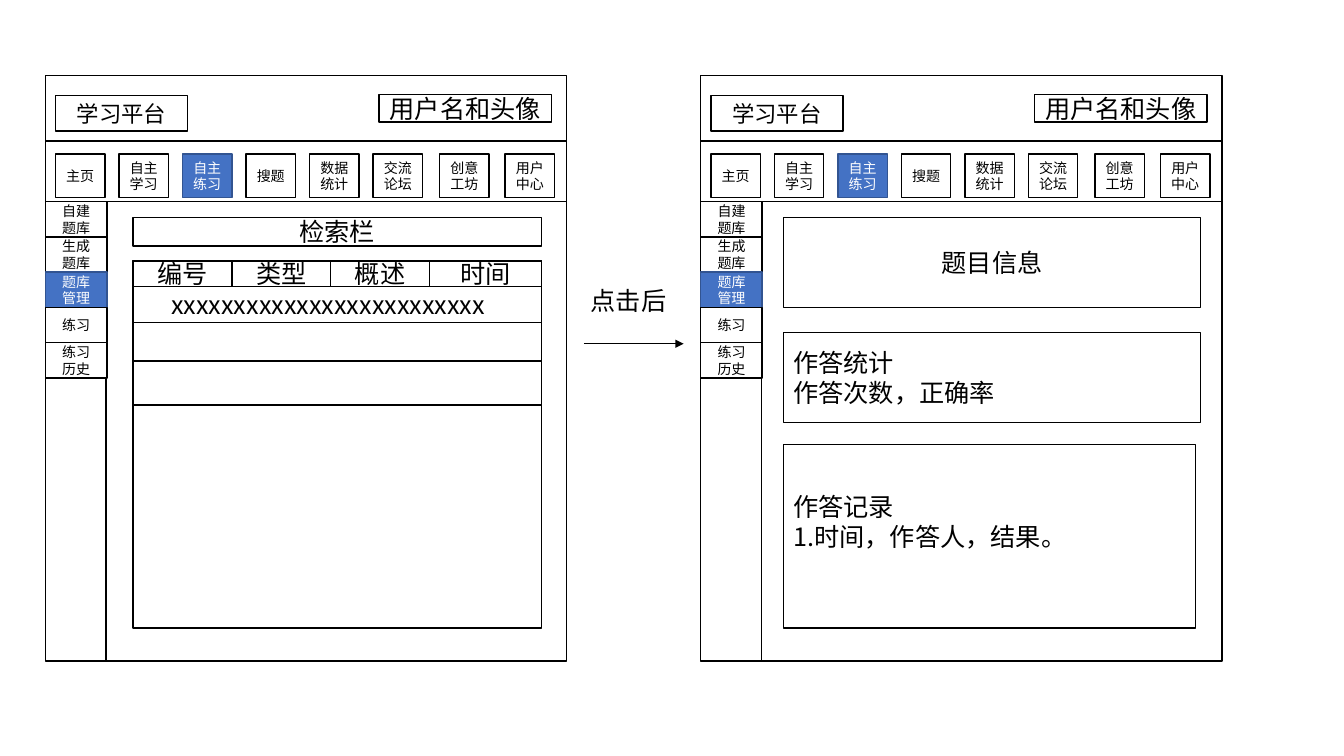
from lxml import etree
from pptx import Presentation
from pptx import util as u
from pptx.dml.color import RGBColor
from pptx.enum import shapes, text
from pptx.oxml.ns import qn

BLACK = RGBColor(0x00, 0x00, 0x00)
WHITE = RGBColor(0xFF, 0xFF, 0xFF)
BLUE = RGBColor(0x44, 0x72, 0xC4)
NAVY = RGBColor(0x32, 0x54, 0x91)
FONT = "Noto Sans CJK SC"

PLAIN = {"fill": WHITE, "line": BLACK, "ink": BLACK}
ACTIVE = {"fill": BLUE, "line": NAVY, "ink": WHITE}
MENU = ["主页", "自主学习", "自主练习", "搜题", "数据统计", "交流论坛", "创意工坊", "用户中心"]
MENU_X = [0.1 + 0.63 * i for i in range(6)] + [3.91, 4.56]
SIDE = ["自建题库", "生成题库", "题库管理", "练习", "练习历史"]
HEADS = ["编号", "类型", "概述", "时间"]


class Sketch:
    def __init__(self, slide):
        self.slide = slide
        self.pen = slide.shapes

    def group(self):
        self.pen = self.slide.shapes.add_group_shape().shapes

    def ungroup(self):
        self.pen = self.slide.shapes

    def letter(self, frame, lines, size, ink, align):
        for i, line in enumerate(lines):
            para = frame.paragraphs[0] if i == 0 else frame.add_paragraph()
            para.alignment = align
            run = para.add_run()
            run.text = line
            for key, value in {"name": FONT, "size": u.Pt(size)}.items():
                setattr(run.font, key, value)
            run.font.color.rgb = ink
            east = etree.SubElement(run.font._element, qn("a:ea"))
            east.set("typeface", FONT)

    def box(self, x, y, w, h, lines=(), size=18, look=PLAIN,
            align=text.PP_ALIGN.CENTER, **form):
        shape = self.pen.add_shape(shapes.MSO_SHAPE.RECTANGLE, *map(u.Inches, (x, y, w, h)))
        shape.shadow.inherit = False
        shape.fill.solid()
        shape.fill.fore_color.rgb = look["fill"]
        shape.line.color.rgb = look["line"]
        shape.line.width = u.Pt(1)
        form = {"word_wrap": True, "vertical_anchor": text.MSO_ANCHOR.MIDDLE, **form}
        for key, value in form.items():
            setattr(shape.text_frame, key, value)
        self.letter(shape.text_frame, lines, size, look["ink"], align)

    def label(self, x, y, w, h, line):
        frame = self.pen.add_textbox(*map(u.Inches, (x, y, w, h))).text_frame
        form = {"word_wrap": True, "auto_size": text.MSO_AUTO_SIZE.SHAPE_TO_FIT_TEXT}
        for key, value in form.items():
            setattr(frame, key, value)
        self.letter(frame, [line], 18, BLACK, text.PP_ALIGN.LEFT)

    def line(self, x1, y1, x2, y2, arrow=False):
        wire = self.pen.add_connector(shapes.MSO_CONNECTOR.STRAIGHT, *map(u.Inches, (x1, y1, x2, y2)))
        wire.line.color.rgb = BLACK
        wire.line.width = u.Pt(1)
        edge = wire._element.spPr.find(qn("a:ln"))
        if arrow:
            etree.SubElement(edge, qn("a:tailEnd")).set("type", "triangle")
        etree.SubElement(wire._element.spPr, qn("a:effectLst"))

    def panel(self, x):
        self.group()
        self.box(x, 0.75, 5.17, 5.81)
        for y in (1.4, 2):
            self.line(x, y, x + 5.17, y)
        self.line(x + 0.6, 2, x + 0.6, 6.56)
        self.box(x + 0.1, 0.95, 1.31, 0.35, ["学习平台"], 16)
        self.box(x + 3.31, 0.94, 1.71, 0.27, ["用户名和头像"])
        for name, dx in zip(MENU, MENU_X):
            look = ACTIVE if name == "自主练习" else PLAIN
            self.box(x + dx, 1.53, 0.49, 0.43, [name], 10, look)
        for i, name in enumerate(SIDE):
            look = ACTIVE if name == "题库管理" else PLAIN
            self.box(x, 2 + 0.35 * i, 0.61, 0.35, [name], 10, look)
        self.ungroup()


def main():
    deck = Presentation()
    deck.slide_width, deck.slide_height = u.Inches(13.33), u.Inches(7.5)
    art = Sketch(deck.slides.add_slide(deck.slide_layouts[6]))

    art.panel(0.45)
    art.box(1.32, 2.16, 4.05, 0.28, ["检索栏"])
    art.box(1.32, 2.59, 4.05, 3.64)
    for i, head in enumerate(HEADS):
        art.box(1.32 + 0.98 * i, 2.59, 1.11 if head == "时间" else 0.98, 0.25, [head])
    for y in (3.2, 3.58, 4.02):
        art.line(1.32, y, 5.37, y)
    art.label(1.6, 2.82, 3.36, 0.4, "xxxxxxxxxxxxxxxxxxxxxxxxx")

    art.label(5.76, 2.78, 0.99, 0.4, "点击后")
    art.line(5.79, 3.41, 6.78, 3.41, arrow=True)

    left = text.PP_ALIGN.LEFT
    art.panel(6.95)
    art.box(7.77, 2.16, 4.14, 0.89, ["题目信息"])
    art.box(7.77, 3.3, 4.14, 0.89, ["作答统计", "作答次数，正确率"], align=left)
    art.box(7.77, 4.41, 4.09, 1.82, ["作答记录", "1.时间，作答人，结果。"],
            align=left, margin_bottom=u.Inches(0.35))
    deck.save("out.pptx")


if __name__ == "__main__":
    main()
